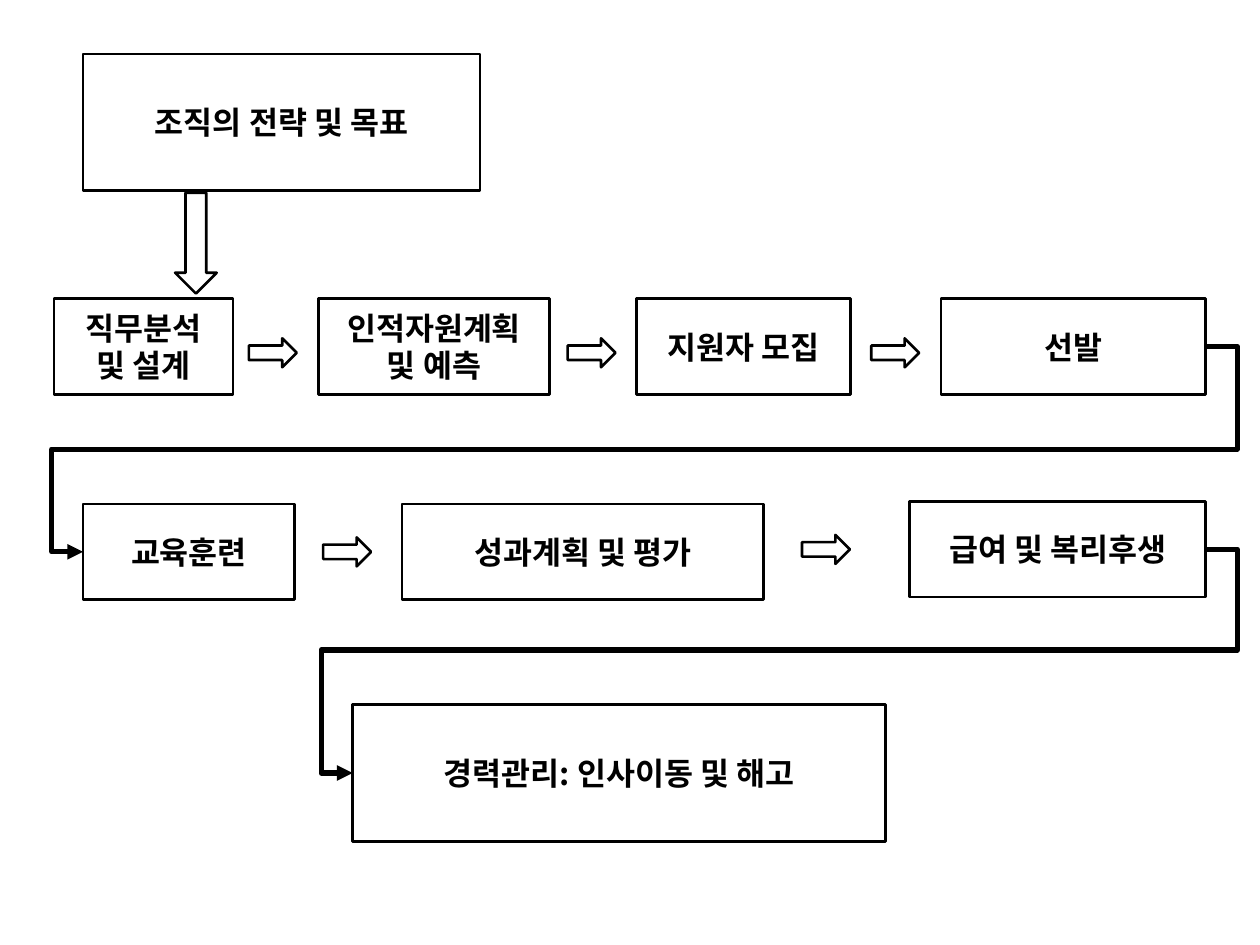
from typing import NamedTuple

from lxml.etree import SubElement
from pptx import Presentation
from pptx.dml.color import RGBColor
from pptx.enum.shapes import MSO_CONNECTOR as Connector, MSO_SHAPE as Shape
from pptx.enum.text import MSO_ANCHOR as Anchor, PP_ALIGN as Align
from pptx.oxml.ns import qn
from pptx.util import Inches, Pt

FONT = "Noto Sans CJK KR"
BLACK, WHITE = "000000", "FFFFFF"
CONNECTOR_REACH = 0.25


class Step(NamedTuple):
    text: str
    left: float
    top: float
    width: float
    height: float = 0.76


class Arrow(NamedTuple):
    left: float
    top: float
    width: float = 0.23
    height: float = 0.38
    rotation: int = 270


STEPS = {
    "strategy": Step("조직의 전략 및 목표", 0.66, 0.43, 3.15, 1.08),
    "job analysis": Step("직무분석\v및 설계", 0.43, 2.37, 1.42),
    "planning": Step("인적자원계획\v및 예측", 2.53, 2.37, 1.83),
    "recruiting": Step("지원자 모집", 5.05, 2.37, 1.7),
    "selection": Step("선발", 7.47, 2.37, 2.1),
    "pay": Step("급여 및 복리후생", 7.22, 3.98, 2.35),
    "appraisal": Step("성과계획 및 평가", 3.19, 4, 2.87),
    "training": Step("교육훈련", 0.66, 4, 1.68),
    "career": Step("경력관리: 인사이동 및 해고", 2.8, 5.59, 4.23, 1.09),
}
ARROWS = [
    Arrow(1.39, 1.53, 0.33, 0.8, rotation=0),
    *(Arrow(left, 2.61) for left in (2.05, 4.58, 6.99)),
    Arrow(6.44, 4.17),
    Arrow(2.64, 4.19),
]


def color(value: str) -> RGBColor:
    return RGBColor.from_string(value)


def add_outlined(page, kind: Shape, left: float, top: float, width: float, height: float):
    """Add a white shape with a thin black outline."""
    shape = page.shapes.add_shape(kind, Inches(left), Inches(top), Inches(width), Inches(height))
    shape.shadow.inherit = False
    shape.fill.solid()
    shape.fill.fore_color.rgb = color(WHITE)
    shape.line.color.rgb = color(BLACK)
    shape.line.width = Pt(1.5)
    return shape


def add_step(page, step: Step):
    box = add_outlined(page, Shape.RECTANGLE, step.left, step.top, step.width, step.height)
    frame = box.text_frame
    frame.vertical_anchor = Anchor.MIDDLE
    frame.margin_left = frame.margin_right = 0
    para = frame.paragraphs[0]
    para.text = step.text
    para.alignment = Align.CENTER
    font = para.font
    font.name, font.size, font.bold = FONT, Pt(18), True
    font.color.rgb = color(BLACK)
    SubElement(para._p.pPr.find(qn("a:defRPr")), qn("a:ea"), typeface=FONT)
    return box


def add_arrow(page, arrow: Arrow) -> None:
    shape = add_outlined(page, Shape.DOWN_ARROW, arrow.left, arrow.top, arrow.width, arrow.height)
    shape.rotation = arrow.rotation


def add_return_line(page, start, end, middle: float) -> None:
    """Lead from the right of one box round to the left of a box below it."""
    line = page.shapes.add_connector(Connector.ELBOW, 0, 0, 0, 0)
    line.begin_connect(start, 3)
    line.end_connect(end, 1)
    line.line.color.rgb = color(BLACK)
    line.line.width = Pt(3)
    properties = line._element.spPr
    SubElement(properties.find(qn("a:ln")), qn("a:tailEnd"), type="triangle")
    SubElement(properties, qn("a:effectLst"))

    geometry = properties.find(qn("a:prstGeom"))
    geometry.set("prst", "bentConnector5")
    guides = geometry.find(qn("a:avLst"))
    reach = Inches(CONNECTOR_REACH) / line.width
    for number, share in enumerate((-reach, middle, 1 + reach), start=1):
        SubElement(guides, qn("a:gd"), name=f"adj{number}", fmla=f"val {round(share * 100000)}")


def main() -> None:
    deck = Presentation()
    deck.slide_width, deck.slide_height = Inches(10), Inches(7.5)
    page = deck.slides.add_slide(deck.slide_layouts[6])
    boxes = {name: add_step(page, step) for name, step in STEPS.items()}
    for arrow in ARROWS:
        add_arrow(page, arrow)
    add_return_line(page, boxes["selection"], boxes["training"], middle=0.5)
    add_return_line(page, boxes["pay"], boxes["career"], middle=0.45)
    deck.save("out.pptx")


if __name__ == "__main__":
    main()
